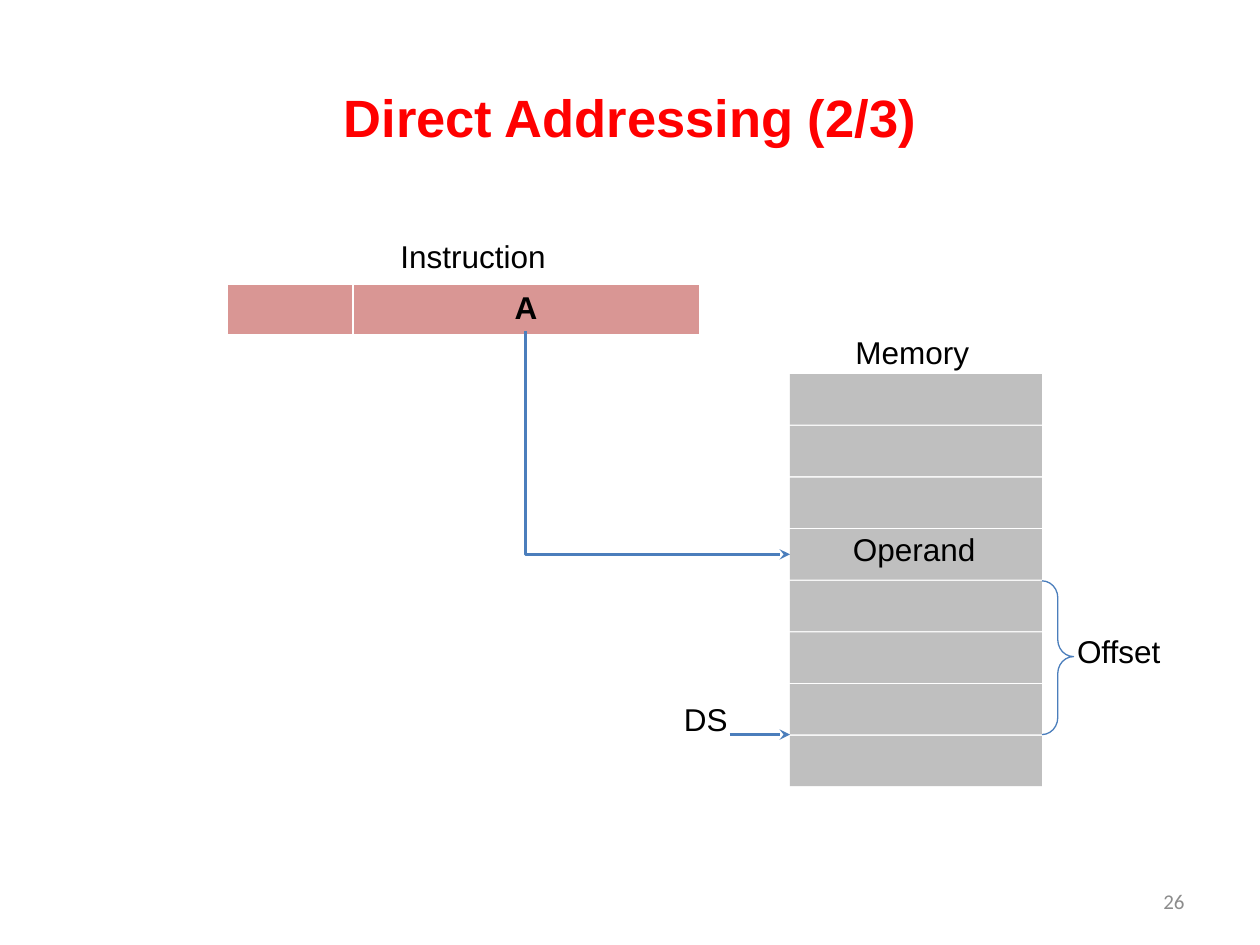
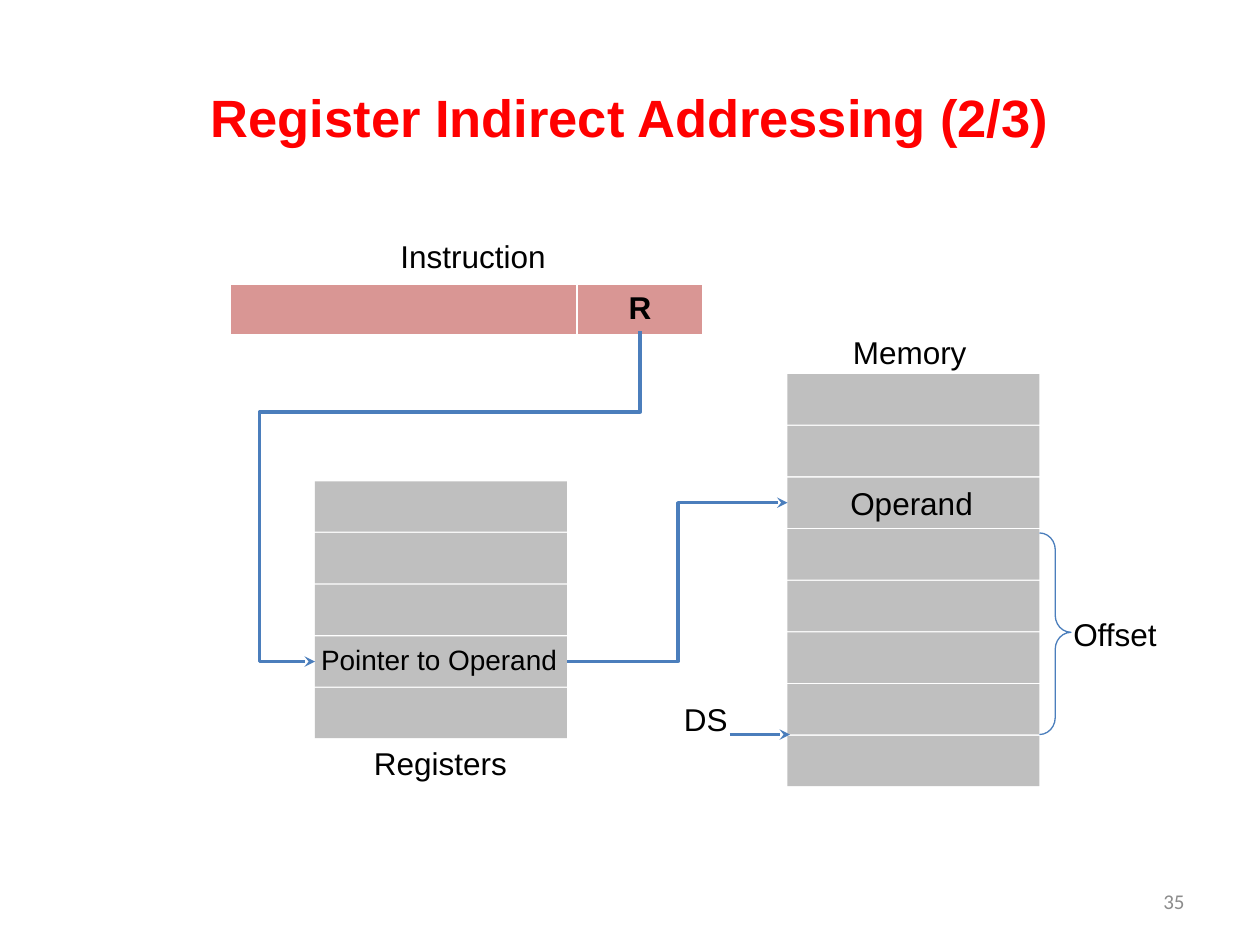
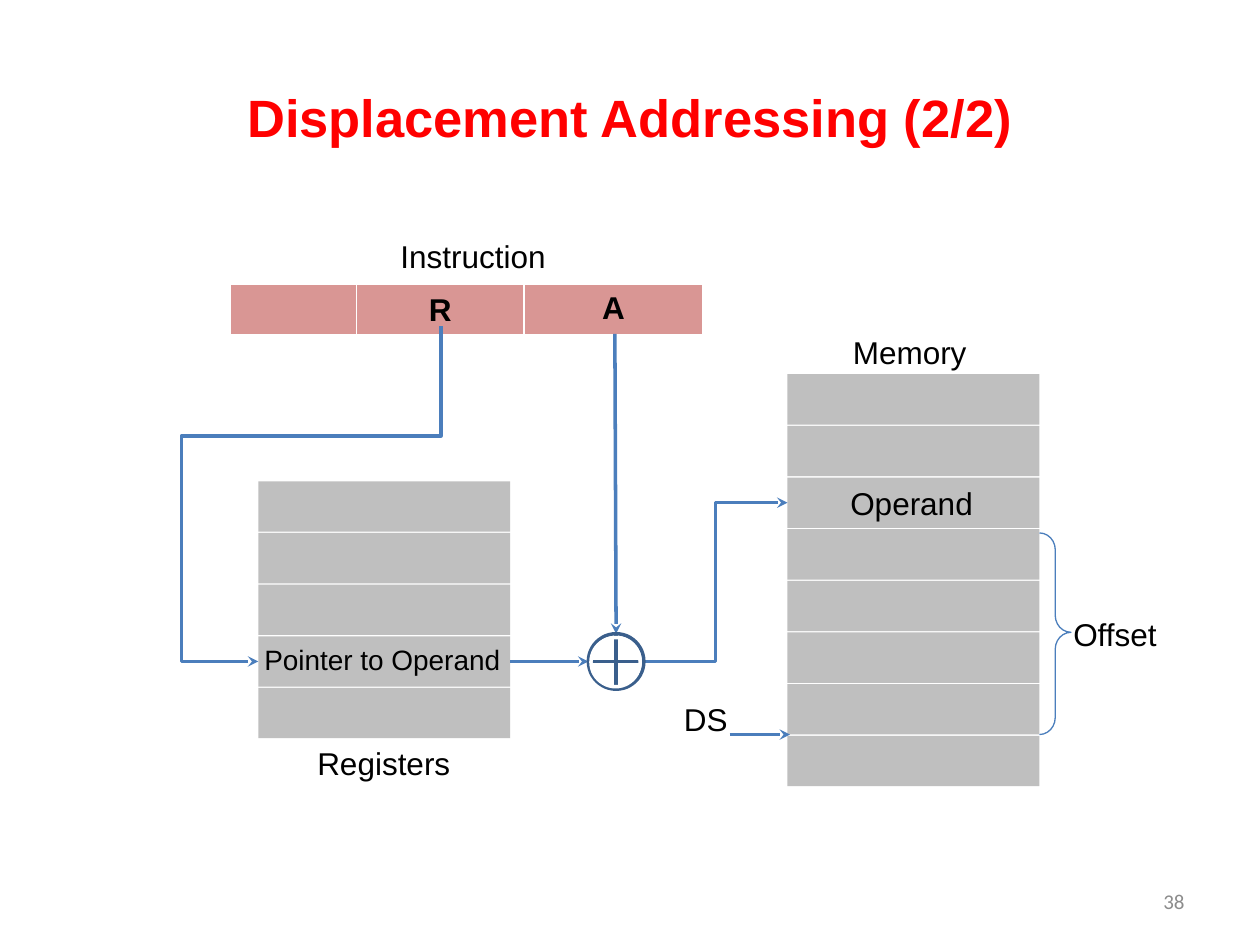
from lxml import etree
from pptx import Presentation
from pptx.dml.color import RGBColor
from pptx.enum.shapes import MSO_CONNECTOR, MSO_SHAPE
from pptx.enum.text import MSO_ANCHOR, MSO_AUTO_SIZE, PP_ALIGN
from pptx.oxml.ns import qn
from pptx.util import Inches, Pt

RECTANGLE = MSO_SHAPE.RECTANGLE
OVAL = MSO_SHAPE.OVAL
RIGHT_BRACE = MSO_SHAPE.RIGHT_BRACE
OR_SYMBOL = MSO_SHAPE.FLOWCHART_OR
STRAIGHT = MSO_CONNECTOR.STRAIGHT
ELBOW = MSO_CONNECTOR.ELBOW
LEFT, CENTER, RIGHT = PP_ALIGN.LEFT, PP_ALIGN.CENTER, PP_ALIGN.RIGHT
TOP, MIDDLE = MSO_ANCHOR.TOP, MSO_ANCHOR.MIDDLE
FIT_SHAPE = MSO_AUTO_SIZE.SHAPE_TO_FIT_TEXT

RED, BLACK, WHITE, NUMBER_GRAY = "FF0000", "000000", "FFFFFF", "8C8C8C"
FIELD_PINK, CELL_GRAY, ARROW_BLUE, SYMBOL_BLUE = "D99694", "BFBFBF", "4B7EBC", "3A5F8C"

CELL_WIDTH, CELL_HEIGHT, CELL_STEP = 2, 0.4, 0.41
MEMORY_TOP, MEMORY_ROWS = 2.97, 8
REGISTERS_TOP, REGISTERS_ROWS, POINTER_ROW = 3.82, 5, 3
FIELD_TOP, FIELD_HEIGHT = 2.26, 0.41
SEGMENT_Y = 5.83


def color(hex_string):
    return RGBColor.from_string(hex_string)


def add_run(paragraph, text, size, font="Arial", font_color=BLACK, bold=False):
    run = paragraph.add_run()
    run.text = text
    run.font.name = font
    run.font.size = Pt(size)
    run.font.bold = bold
    run.font.color.rgb = color(font_color)


def add_text(slide, box, text, size=18, align=LEFT, anchor=TOP, wrap=False, **style):
    shape = slide.shapes.add_textbox(*map(Inches, box))
    frame = shape.text_frame
    frame.word_wrap = wrap
    frame.vertical_anchor = anchor
    if not wrap:
        frame.auto_size = FIT_SHAPE
    paragraph = frame.paragraphs[0]
    paragraph.alignment = align
    add_run(paragraph, text, size, **style)


def add_shape(slide, kind, box, fill=None, line=None, line_width=2):
    shape = slide.shapes.add_shape(kind, *map(Inches, box))
    shape.shadow.inherit = False
    if fill:
        shape.fill.solid()
        shape.fill.fore_color.rgb = color(fill)
    else:
        shape.fill.background()
    if line:
        shape.line.color.rgb = color(line)
        shape.line.width = Pt(line_width)
    else:
        shape.line.fill.background()
    return shape


def add_arrow(slide, start, end, kind=STRAIGHT):
    connector = slide.shapes.add_connector(kind, *map(Inches, (*start, *end)))
    connector.line.color.rgb = color(ARROW_BLUE)
    connector.line.width = Pt(2)
    properties = connector._element.spPr
    etree.SubElement(properties.find(qn("a:ln")), qn("a:tailEnd"), type="stealth")
    etree.SubElement(properties, qn("a:effectLst"))
    return connector


def set_bends(connector, preset, bends):
    geometry = connector._element.spPr.find(qn("a:prstGeom"))
    geometry.set("prst", preset)
    guides = geometry.find(qn("a:avLst"))
    if guides is None:
        guides = etree.SubElement(geometry, qn("a:avLst"))
    for number, bend in enumerate(bends, 1):
        etree.SubElement(guides, qn("a:gd"), name=f"adj{number}", fmla=f"val {round(bend * 100000)}")


def add_elbow_arrow(slide, start, end, bend_x):
    connector = add_arrow(slide, start, end, ELBOW)
    set_bends(connector, "bentConnector3", [(bend_x - start[0]) / (end[0] - start[0])])


def add_wrapping_arrow(slide, start, end, bend_x, bend_y):
    across, down = start[0] - end[0], end[1] - start[1]
    left = (start[0] + end[0] - down) / 2
    top = (start[1] + end[1] - across) / 2
    connector = add_arrow(slide, (left, top), (left + down, top + across), ELBOW)
    connector._element.spPr.find(qn("a:xfrm")).set("rot", "5400000")
    set_bends(connector, "bentConnector4", [(bend_y - start[1]) / down, (start[0] - bend_x) / across])


def set_borders(cell):
    properties = cell._tc.get_or_add_tcPr()
    for side, width in (("L", 1), ("R", 1), ("T", 1), ("B", 3)):
        line = etree.SubElement(properties, qn(f"a:ln{side}"), w=str(Pt(width)))
        fill = etree.SubElement(line, qn("a:solidFill"))
        etree.SubElement(fill, qn("a:srgbClr"), val=WHITE)


def add_instruction(slide, left, fields):
    box = (left, FIELD_TOP, sum(width for _, width in fields), FIELD_HEIGHT)
    table = slide.shapes.add_table(1, len(fields), *map(Inches, box)).table
    table.first_row = False
    table.horz_banding = False
    for index, (name, width) in enumerate(fields):
        table.columns[index].width = Inches(width)
        cell = table.cell(0, index)
        set_borders(cell)
        cell.fill.solid()
        cell.fill.fore_color.rgb = color(FIELD_PINK)
        if name:
            paragraph = cell.text_frame.paragraphs[0]
            paragraph.alignment = CENTER
            add_run(paragraph, name, 18, bold=True)
    add_text(slide, (3.08, 1.83, 1.37, 0.4), "Instruction")


def add_cells(slide, left, top, count):
    return [
        add_shape(slide, RECTANGLE, (left, top + row * CELL_STEP, CELL_WIDTH, CELL_HEIGHT), CELL_GRAY)
        for row in range(count)
    ]


def add_memory(slide, left, operand_top, brace_top, offset_position):
    add_cells(slide, left, MEMORY_TOP, MEMORY_ROWS)
    add_text(slide, (left + 0.42, 2.59, 1.11, 0.4), "Memory")
    add_text(slide, (left + 0.4, operand_top, 1.18, 0.4), "Operand")
    add_text(slide, (5.33, 5.51, 0.55, 0.4), "DS")
    add_arrow(slide, (5.79, SEGMENT_Y), (6.27, SEGMENT_Y))
    brace_box = (left + CELL_WIDTH, brace_top, 0.25, SEGMENT_Y - brace_top)
    brace = add_shape(slide, RIGHT_BRACE, brace_box, line=ARROW_BLUE, line_width=0.75)
    brace.adjustments[0] = 0.537
    brace.adjustments[1] = 0.493
    add_text(slide, (*offset_position, 0.87, 0.4), "Offset")


def add_indirect_memory(slide):
    add_memory(slide, 6.25, 3.79, 4.23, (8.42, 4.83))


def add_registers(slide, left):
    cells = add_cells(slide, left, REGISTERS_TOP, REGISTERS_ROWS)
    add_text(slide, (left + 0.37, 5.86, 1.27, 0.4), "Registers")
    add_text(slide, (left - 0.05, 5.05, 2.1, 0.37), "Pointer to Operand", 16)
    return cells[POINTER_ROW]


def add_sum_symbol(slide):
    add_shape(slide, OR_SYMBOL, (4.67, 5.03, 0.44, 0.44), WHITE, SYMBOL_BLUE)
    add_shape(slide, OVAL, (4.69, 5.06, 0.39, 0.39), line=WHITE)


def add_slide(presentation, title, number):
    slide = presentation.slides.add_slide(presentation.slide_layouts[6])
    add_text(slide, (0.5, 0.3, 9, 1.25), title, 30, CENTER, MIDDLE, True, font_color=RED, bold=True)
    add_text(slide, (7.17, 6.95, 2.33, 0.4), number, 12, RIGHT, MIDDLE, True,
             font="Calibri", font_color=NUMBER_GRAY)
    return slide


def build_direct(presentation):
    slide = add_slide(presentation, "Direct Addressing (2/3)", "26")
    add_instruction(slide, 1.8, [("", 1), ("A", 2.75)])
    add_memory(slide, 6.27, 4.16, 4.61, (8.45, 4.97))
    add_elbow_arrow(slide, (4.17, 2.63), (6.27, 4.4), 4.17)


def build_register_indirect(presentation):
    slide = add_slide(presentation, "Register Indirect Addressing (2/3)", "35")
    add_instruction(slide, 1.83, [("", 2.75), ("R", 1)])
    add_registers(slide, 2.5)
    add_wrapping_arrow(slide, (5.08, 2.63), (2.5, 5.25), 2.06, 3.27)
    add_indirect_memory(slide)
    add_elbow_arrow(slide, (4.5, 5.25), (6.25, 3.99), 5.38)


def build_displacement(presentation):
    slide = add_slide(presentation, "Displacement Addressing (2/2)", "38")
    add_instruction(slide, 1.83, [("", 1), ("R", 1.33), ("A", 1.42)])
    slide.shapes[2].table.cell(0, 1).vertical_anchor = MIDDLE
    pointer_cell = add_registers(slide, 2.05)
    add_wrapping_arrow(slide, (3.5, 2.59), (2.05, 5.25), 1.44, 3.46)
    add_indirect_memory(slide)
    add_arrow(slide, (4.88, 2.65), (4.89, 5.03))
    pointer_arrow = add_arrow(slide, (4.05, 5.25), (4.67, 5.25))
    pointer_arrow.begin_connect(pointer_cell, 3)
    add_elbow_arrow(slide, (5.11, 5.25), (6.25, 3.99), 5.68)
    add_sum_symbol(slide)


def main():
    presentation = Presentation()
    presentation.slide_width = Inches(10)
    presentation.slide_height = Inches(7.5)
    build_direct(presentation)
    build_register_indirect(presentation)
    build_displacement(presentation)
    presentation.save("out.pptx")


if __name__ == "__main__":
    main()
